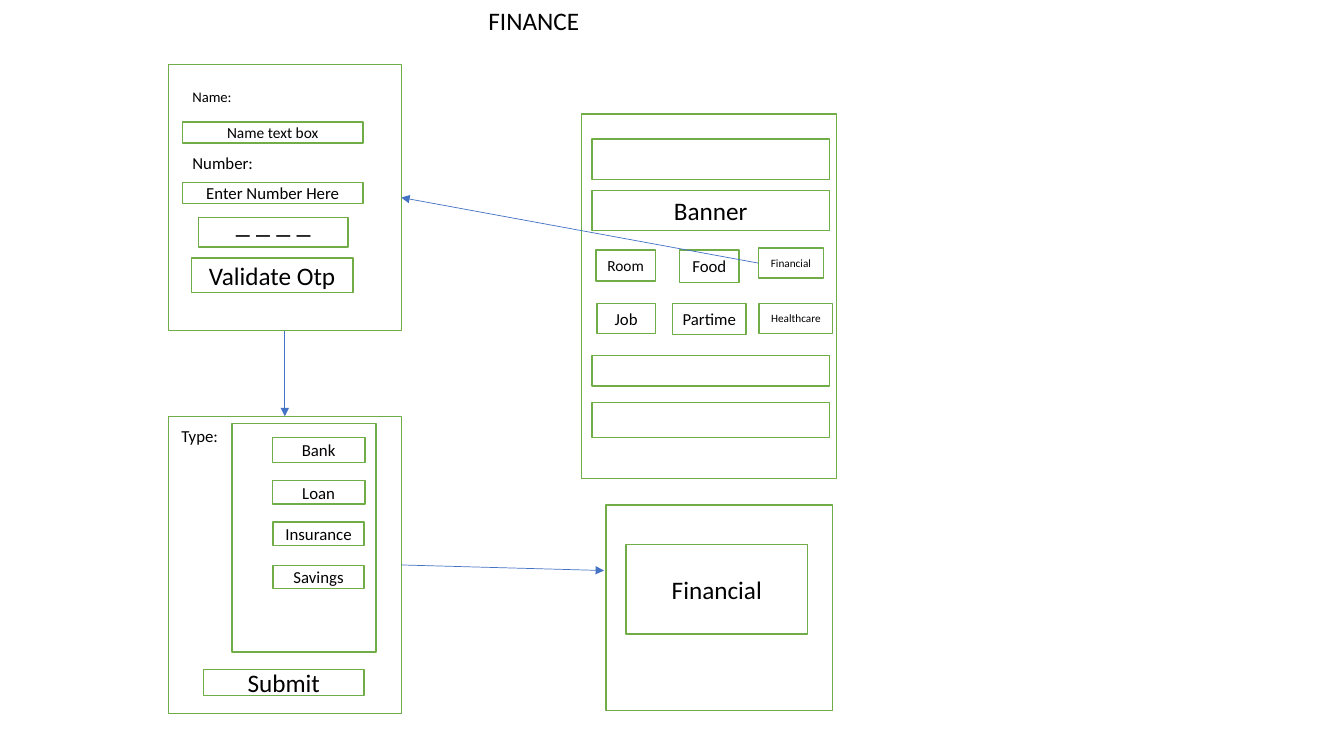
from pptx import Presentation
from pptx.dml.color import RGBColor
from pptx.enum.shapes import MSO_CONNECTOR, MSO_SHAPE
from pptx.enum.text import MSO_ANCHOR, PP_ALIGN
from pptx.oxml.ns import qn
from pptx.util import Pt
from lxml.etree import SubElement

PX = 9144
THEME = {
    "font": "Calibri",
    "paper": RGBColor.from_string("FFFFFF"),
    "border": RGBColor.from_string("70AD47"),
    "arrow": RGBColor.from_string("4472C4"),
    "ink": RGBColor.from_string("000000"),
    "border_width": Pt(1),
    "arrow_width": Pt(0.5),
    "code": Pt(20),
    "large": Pt(18),
    "body": Pt(12),
    "small": Pt(11),
    "caption": Pt(10.5),
    "tiny": Pt(8),
}

deck = Presentation()
deck.slide_width, deck.slide_height = 1333 * PX, 750 * PX
page = deck.slides.add_slide(deck.slide_layouts[6])


def write(box, text, size, align, anchor, **margins):
    frame = box.text_frame
    frame_format = {"word_wrap": True, "vertical_anchor": anchor, **margins}
    for name, value in frame_format.items():
        setattr(frame, name, value)
    para = frame.paragraphs[0]
    para.alignment = align
    span = para.add_run()
    span.text = text
    for name, value in {"name": THEME["font"], "size": THEME[size]}.items():
        setattr(span.font, name, value)
    span.font.color.rgb = THEME["ink"]


def add_box(left, top, width, height, text="", size="body", **margins):
    box = page.shapes.add_shape(
        MSO_SHAPE.RECTANGLE, left * PX, top * PX, width * PX, height * PX
    )
    box.shadow.inherit = False
    box.fill.solid()
    box.fill.fore_color.rgb = THEME["paper"]
    box.line.color.rgb = THEME["border"]
    box.line.width = THEME["border_width"]
    if text:
        sides = {"margin_left": 0, "margin_right": 0, **margins}
        write(box, text, size, PP_ALIGN.CENTER, MSO_ANCHOR.MIDDLE, **sides)
    return box


home_screen = add_box(577, 113, 253, 362)
for top, height, text in [(138, 40, ""), (189, 40, "Banner"), (353, 30, ""), (399, 35, "")]:
    add_box(587, top, 236, height, text, "large")

tiles = {}
for left, top, width, height, text, size in [
    (591, 248, 59, 31, "Room", "small"),
    (674, 248, 59, 32, "Food", "body"),
    (752, 246, 65, 30, "Financial", "tiny"),
    (592, 301, 58, 30, "Job", "body"),
    (667, 301, 73, 31, "Partime", "body"),
    (753, 301, 73, 30, "Healthcare", "tiny"),
]:
    tiles[text] = add_box(left, top, width, height, text, size)

contact_form = add_box(167, 64, 231, 264)
add_box(181, 121, 179, 21, "Name text box", "small")
add_box(181, 181, 179, 21, "Enter Number Here")
add_box(197, 216, 148, 29, "_ _ _ _", "code", margin_top=0, margin_bottom=20 * PX)
add_box(190, 256, 160, 34, "Validate Otp", "large")

type_form = add_box(167, 413, 231, 295)
type_list = add_box(230, 420, 143, 227)
for left, top, width, height, text in [
    (270, 434, 92, 25, "Bank"),
    (270, 477, 92, 23, "Loan"),
    (271, 518, 90, 23, "Insurance"),
    (271, 561, 90, 23, "Savings"),
]:
    add_box(left, top, width, height, text)
add_box(202, 664, 159, 26, "Submit", "large")

result_screen = add_box(601, 501, 225, 204)
add_box(621, 540, 180, 89, "Financial", "large")

for left, top, width, height, text, size, align in [
    (276, 0, 507, 40, "FINANCE", "large", PP_ALIGN.CENTER),
    (181, 82, 95, 28, "Name:", "caption", PP_ALIGN.LEFT),
    (181, 147, 95, 30, "Number:", "body", PP_ALIGN.LEFT),
    (170, 417, 86, 30, "Type:", "body", PP_ALIGN.LEFT),
]:
    label = page.shapes.add_textbox(left * PX, top * PX, width * PX, height * PX)
    write(label, text, size, align, MSO_ANCHOR.TOP)

for source, source_side, target, target_side, end in [
    (tiles["Financial"], 1, contact_form, 3, (398, 196)),
    (contact_form, 2, type_form, 0, (283, 413)),
    (type_form, 3, None, None, (599, 566)),
]:
    arrow = page.shapes.add_connector(
        MSO_CONNECTOR.STRAIGHT, 0, 0, end[0] * PX, end[1] * PX
    )
    arrow.begin_connect(source, source_side)
    if target:
        arrow.end_connect(target, target_side)
    arrow.line.color.rgb = THEME["arrow"]
    arrow.line.width = THEME["arrow_width"]
    properties = arrow.element.spPr
    SubElement(properties.find(qn("a:ln")), qn("a:tailEnd"), type="triangle")
    SubElement(properties, qn("a:effectLst"))

deck.save("out.pptx")
